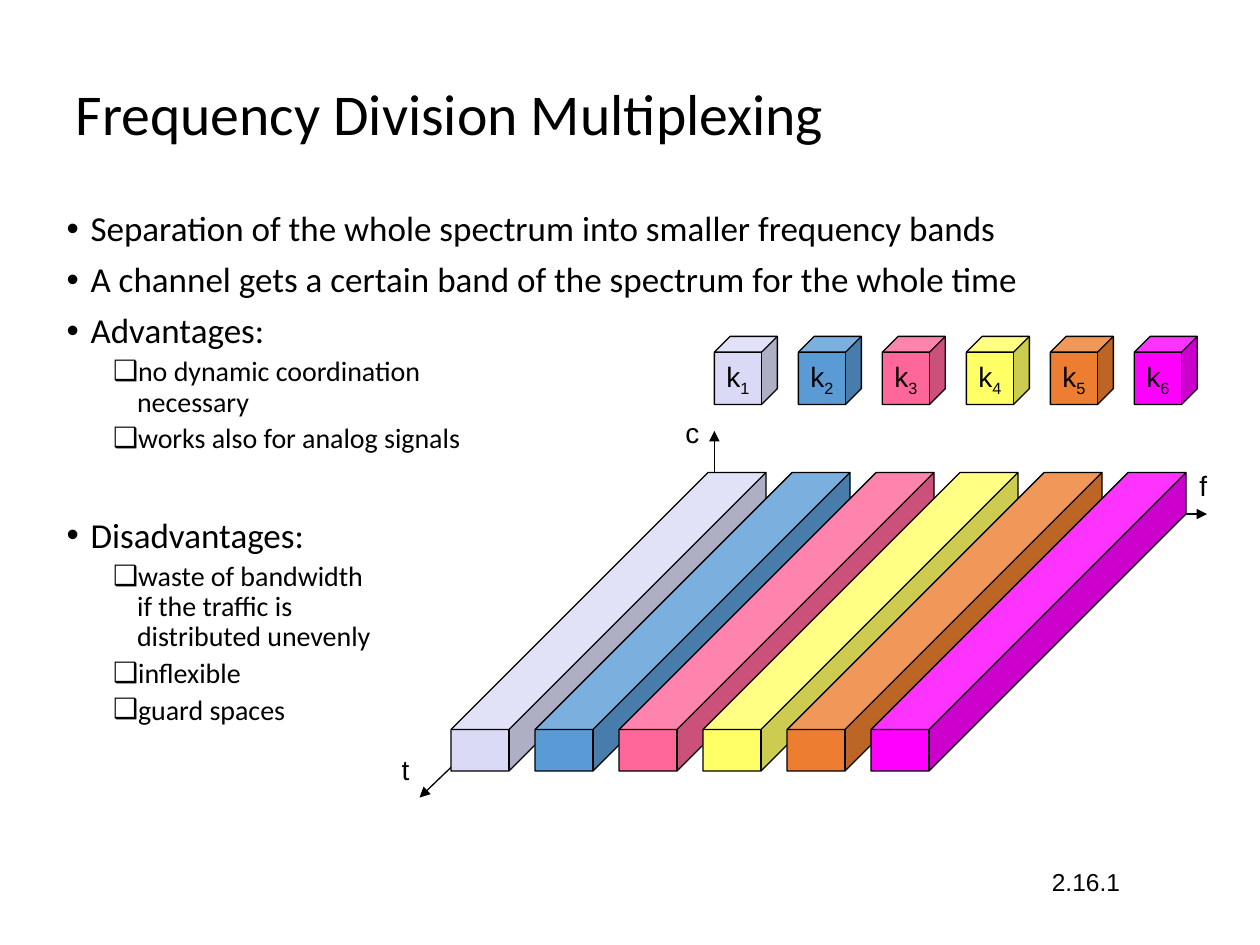
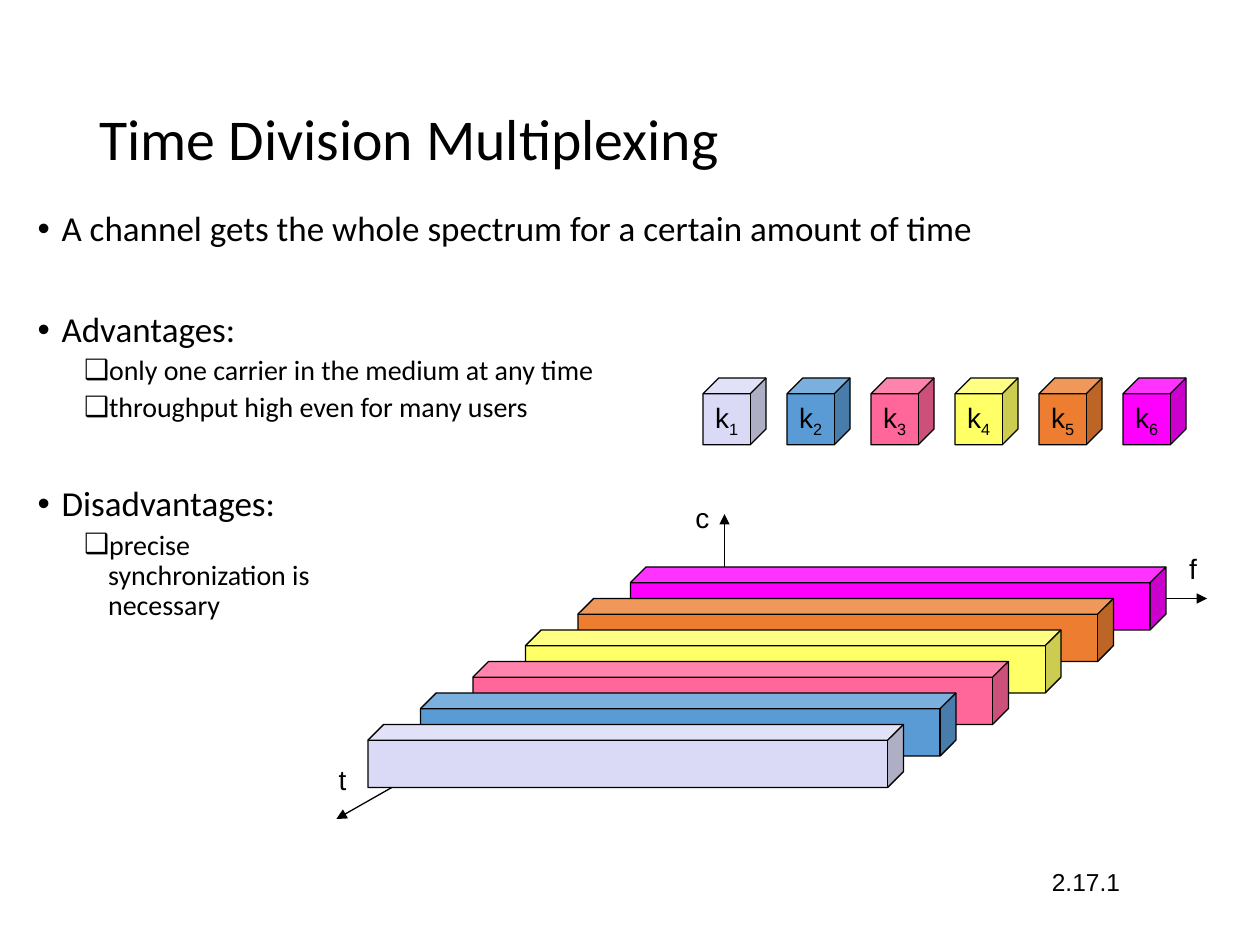
from dataclasses import dataclass

from lxml import etree
from pptx import Presentation
from pptx.dml.color import RGBColor
from pptx.enum import shapes, text
from pptx.oxml import ns
from pptx.util import Inches, Pt


@dataclass(frozen=True)
class Theme:
    ink: RGBColor = RGBColor(0, 0, 0)
    body_font: str = "Calibri"
    label_font: str = "Arial"
    title_size: int = 33
    point_sizes: tuple = (20, 16)
    label_size: int = 16
    number_size: int = 14
    line_width: float = 0.75


THEME = Theme()
CHANNEL_COLORS = ["DADAF6", "5B9BD5", "FF6699", "FFFF66", "ED7D31", "FF00FF"]
CHANNEL_PITCH = 2 / 3
BULLETS = ("•", "❑")
BULLET_INDENTS = (0.19, 0.56)
POINT_SPACING = (7.5, 3.7)
GROUP_SPACING = 36

# Each group is a list of (point, sub-points); a wide gap separates the groups.
SLIDES = [
    dict(
        title="Frequency Division Multiplexing",
        title_at=(0.5, 0.3, 9.18, 1.25),
        body_at=(0.43, 1.63, 8.92, 5.58),
        groups=[
            [
                ("Separation of the whole spectrum into smaller frequency bands", []),
                ("A channel gets a certain band of the spectrum for the whole time", []),
                ("Advantages:", ["no dynamic coordination\vnecessary",
                                 "works also for analog signals"]),
            ],
            [
                ("Disadvantages:", ["waste of bandwidth\vif the traffic is\vdistributed unevenly",
                                    "inflexible", "guard spaces"]),
            ],
        ],
        origin=(5.67, 4.08),
        axes=[("t", (3.33, 6.33), (3.09, 5.92)),
              ("c", (5.67, 3.42), (5.34, 3.25)),
              ("f", (9.58, 4.08), (9.42, 3.67))],
        key_at=(5.67, 2.67, 0.5, 0.54),
        bar_at=(3.58, 3.75, 2.5, 2.37),
        bar_step=(CHANNEL_PITCH, 0),
        bar_depth=0.861,
        number="2.16.1",
    ),
    dict(
        title="Time Division Multiplexing",
        title_at=(0.69, 0.4, 8.63, 1.45),
        body_at=(0.2, 1.63, 8.79, 5.58),
        groups=[
            [("A channel gets the whole spectrum for a certain amount of time", [])],
            [("Advantages:", ["only one carrier in the medium at any time",
                              "throughput high even for many users"])],
            [("Disadvantages:", ["precise\vsynchronization is\vnecessary"])],
        ],
        origin=(5.75, 4.75),
        axes=[("t", (2.67, 6.5), (2.59, 6)),
              ("c", (5.75, 4.08), (5.42, 3.92)),
              ("f", (9.58, 4.75), (9.34, 4.33))],
        key_at=(5.58, 3, 0.5, 0.53),
        bar_at=(2.92, 5.75, 4.25, 0.5),
        bar_step=(5 / 12, -0.25),
        bar_depth=0.25,
        number="2.17.1",
    ),
]


def inches(values):
    return [Inches(value) for value in values]


def style(para, font_name, size):
    for span in para.runs:
        span.font.name = font_name
        span.font.size = Pt(size)
        span.font.color.rgb = THEME.ink


def add_title(page, title, place):
    box = page.shapes.title
    box.left, box.top, box.width, box.height = inches(place)
    frame = box.text_frame
    frame.text = title
    frame.auto_size = text.MSO_AUTO_SIZE.NONE
    frame.vertical_anchor = text.MSO_ANCHOR.MIDDLE
    para = frame.paragraphs[0]
    para.alignment = text.PP_ALIGN.LEFT
    para.line_spacing = 0.9
    style(para, THEME.body_font, THEME.title_size)


def add_point(para, words, level, space_before):
    para.text = words
    para.level = level
    props = para._p.get_or_add_pPr()
    props.set("marL", str(Inches(BULLET_INDENTS[level])))
    props.set("indent", str(-Inches(BULLET_INDENTS[0])))
    etree.SubElement(props, ns.qn("a:buFont"), typeface=THEME.label_font)
    etree.SubElement(props, ns.qn("a:buChar"), char=BULLETS[level])
    para.line_spacing = 0.9
    para.space_before = Pt(space_before)
    style(para, THEME.body_font, THEME.point_sizes[level])


def add_body(page, groups, place):
    frame = page.shapes.add_textbox(*inches(place)).text_frame
    frame.word_wrap = True
    points = []
    for group in groups:
        space = GROUP_SPACING if points else 0
        for point, details in group:
            points.append((point, 0, space))
            points += [(detail, 1, POINT_SPACING[1]) for detail in details]
            space = POINT_SPACING[0]
    for index, point in enumerate(points):
        para = frame.add_paragraph() if index else frame.paragraphs[0]
        add_point(para, *point)


def add_label(page, words, place, size):
    frame = page.shapes.add_textbox(*inches(place)).text_frame
    frame.text = words
    frame.word_wrap = False
    frame.auto_size = text.MSO_AUTO_SIZE.SHAPE_TO_FIT_TEXT
    style(frame.paragraphs[0], THEME.label_font, size)


def add_axis(page, start, end):
    axis = page.shapes.add_connector(shapes.MSO_CONNECTOR.STRAIGHT, *inches(start + end))
    axis.line.color.rgb = THEME.ink
    axis.line.width = Pt(THEME.line_width)
    etree.SubElement(axis.line._get_or_add_ln(), ns.qn("a:tailEnd"), type="triangle")
    etree.SubElement(axis._element.spPr, ns.qn("a:effectLst"))


def add_cube(page, place, color, depth):
    cube = page.shapes.add_shape(shapes.MSO_SHAPE.CUBE, *inches(place))
    cube.adjustments[0] = depth
    cube.shadow.inherit = False
    cube.fill.solid()
    cube.fill.fore_color.rgb = RGBColor.from_string(color)
    cube.line.color.rgb = THEME.ink
    cube.line.width = Pt(THEME.line_width)
    return cube


def add_key(page, place):
    """Row of small cubes that names the channels k1 to k6."""
    left, top, width, height = place
    for index, color in enumerate(CHANNEL_COLORS):
        cube = add_cube(page, (left + index * CHANNEL_PITCH, top, width, height), color, 0.25)
        frame = cube.text_frame
        frame.word_wrap = False
        frame.vertical_anchor = text.MSO_ANCHOR.MIDDLE
        para = frame.paragraphs[0]
        para.alignment = text.PP_ALIGN.CENTER
        para.add_run().text = "k"
        subscript = para.add_run()
        subscript.text = str(index + 1)
        style(para, THEME.label_font, THEME.label_size)
        subscript._r.get_or_add_rPr().set("baseline", "-25000")


def add_bars(page, place, step, depth):
    """Channel bars, the farthest drawn first."""
    left, top, width, height = place
    bars = [((left + index * step[0], top + index * step[1], width, height), color)
            for index, color in enumerate(CHANNEL_COLORS)]
    for bar_place, color in sorted(bars, key=lambda bar: bar[0][1]):
        add_cube(page, bar_place, color, depth)


def build_slide(deck, content):
    page = deck.slides.add_slide(deck.slide_layouts[5])
    add_title(page, content["title"], content["title_at"])
    for _, end, _ in content["axes"]:
        add_axis(page, content["origin"], end)
    add_body(page, content["groups"], content["body_at"])
    add_bars(page, content["bar_at"], content["bar_step"], content["bar_depth"])
    add_key(page, content["key_at"])
    for name, _, corner in content["axes"]:
        width = 0.31 if name == "c" else 0.26
        add_label(page, name, corner + (width, 0.37), THEME.label_size)
    add_label(page, content["number"], (8.25, 6.83, 0.74, 0.34), THEME.number_size)


def main():
    deck = Presentation()
    deck.slide_width, deck.slide_height = Inches(10), Inches(7.5)
    for content in SLIDES:
        build_slide(deck, content)
    deck.save("out.pptx")


if __name__ == "__main__":
    main()
